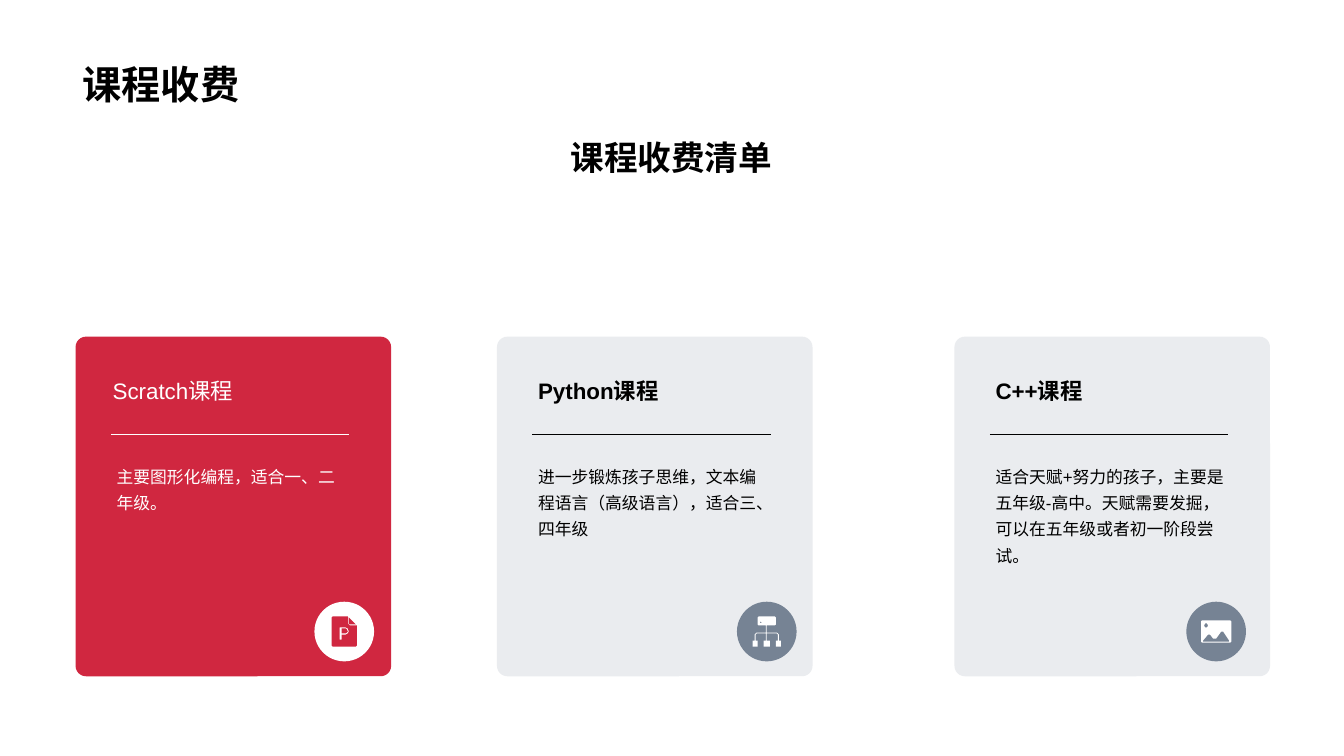
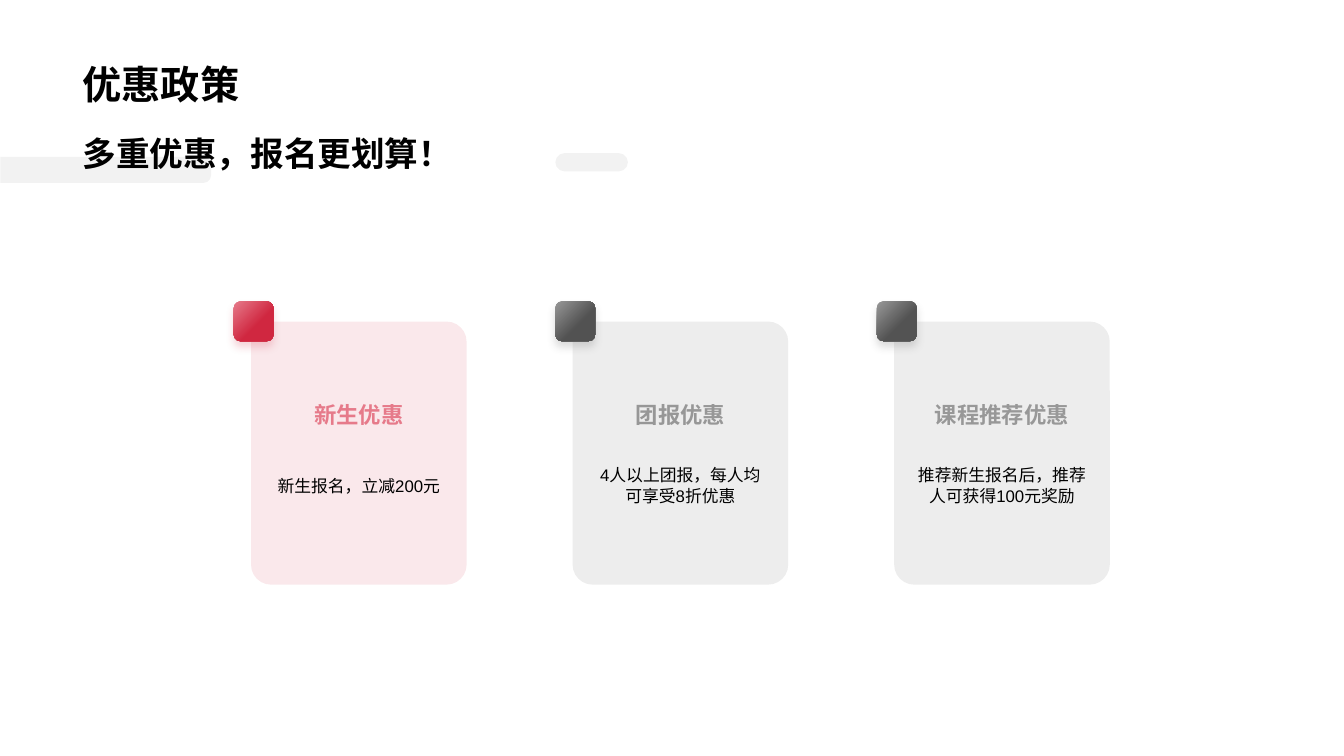
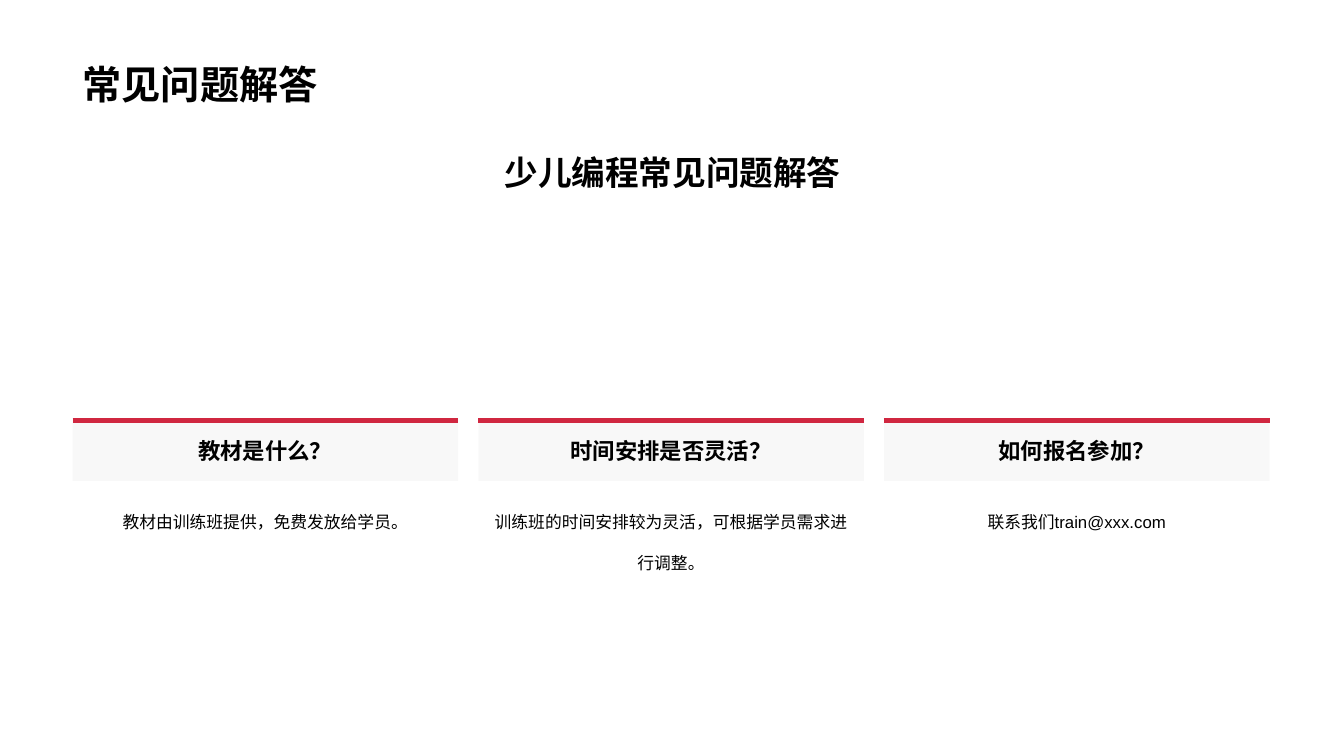
from lxml.etree import SubElement
from pptx import Presentation
from pptx.dml.color import RGBColor
from pptx.enum.lang import MSO_LANGUAGE_ID
from pptx.enum.shapes import MSO_CONNECTOR, MSO_SHAPE
from pptx.enum.text import MSO_ANCHOR, PP_ALIGN
from pptx.oxml.ns import qn
from pptx.util import Pt

# Shared style
FONT = "Arial"
RED, SLATE, GRAY = "D02740", "768394", "808080"
BLACK, WHITE = "000000", "FFFFFF"
LEFT, CONTENT_WIDTH = 51.84, 855.4
DEFAULT_INSETS = (7.2, 3.6)

# Icon outlines and their cut-outs, in hundredths of an inch
ICON_UNIT = Pt(0.72)
DOCUMENT_ICON = (25, 30, [
    [(1, 0), (16, 0), (16, 7), (18, 9), (25, 9), (25, 29), (24, 30),
     (1, 30), (0, 29), (0, 1)],
    [(8, 11), (14, 11), (16, 12), (17, 15), (16, 17), (14, 18), (10, 18),
     (10, 23), (8, 23)],
    [(10, 12), (14, 12), (15, 13), (16, 15), (15, 16), (14, 17), (10, 17)],
    [(17, 1), (24, 8), (18, 8), (17, 7)],
])
TREE_ICON = (28, 30, [
    [(6, 0), (22, 0), (23, 1), (23, 8), (22, 9), (14, 9), (14, 16),
     (24, 16), (26, 18), (26, 24), (28, 24), (28, 30), (23, 30), (23, 24),
     (25, 24), (25, 18), (24, 17), (14, 17), (14, 24), (17, 24), (17, 30),
     (11, 30), (11, 24), (13, 24), (13, 17), (4, 17), (3, 18), (3, 24),
     (5, 24), (5, 30), (0, 30), (0, 24), (2, 24), (2, 18), (4, 16),
     (13, 16), (13, 9), (6, 9), (5, 8), (5, 1)],
    [(7, 6), (8, 5), (9, 6), (8, 7)],
])
PHOTO_ICON = (30, 22, [
    [(1, 0), (29, 0), (30, 1), (30, 21), (29, 22), (1, 22), (0, 21), (0, 1)],
    [(22, 11), (20, 11), (15, 18), (12, 18), (9, 14), (7, 14), (2, 20),
     (2, 21), (28, 21), (28, 20)],
    [(3, 5), (4, 3), (6, 3), (7, 5), (6, 7), (4, 7)],
])


def color(hex_code):
    return RGBColor.from_string(hex_code)


def points(*lengths):
    return [Pt(length) for length in lengths]


def write(shape, text, size, hex_code=BLACK, bold=False, align=PP_ALIGN.LEFT,
          anchor=MSO_ANCHOR.TOP, insets=DEFAULT_INSETS, spacing=1.0):
    frame = shape.text_frame
    frame.text = text
    frame.word_wrap = True
    frame.vertical_anchor = anchor
    frame.margin_left = frame.margin_right = Pt(insets[0])
    frame.margin_top = frame.margin_bottom = Pt(insets[1])
    paragraph = frame.paragraphs[0]
    paragraph.alignment = align
    paragraph.line_spacing = spacing
    for run in paragraph.runs:
        run.font.name, run.font.size, run.font.bold = FONT, Pt(size), bold
        run.font.color.rgb = color(hex_code)
        run.font.language_id = MSO_LANGUAGE_ID.SIMPLIFIED_CHINESE
        # East Asian typeface
        SubElement(run.font._element, qn("a:ea"), typeface=FONT)


def add_text(slide, box, text, size, **style):
    write(slide.shapes.add_textbox(*points(*box)), text, size, **style)


def add_block(slide, kind, box, hex_code, opacity=100, adjustments=()):
    block = slide.shapes.add_shape(kind, *points(*box))
    for index, value in enumerate(adjustments):
        block.adjustments[index] = value
    paint(block, hex_code, opacity)
    return block


def paint(shape, hex_code, opacity=100):
    shape.shadow.inherit = False
    shape.line.fill.background()
    shape.fill.solid()
    shape.fill.fore_color.rgb = color(hex_code)
    if opacity < 100:
        tone = shape._element.spPr.find(qn("a:solidFill"))[0]
        SubElement(tone, qn("a:alpha"), val=str(opacity * 1000))


def add_rule(slide, left, top, width, hex_code, weight):
    rule = slide.shapes.add_connector(
        MSO_CONNECTOR.STRAIGHT, *points(left, top, left + width, top))
    rule.line.color.rgb = color(hex_code)
    rule.line.width = Pt(weight)
    SubElement(rule._element.spPr, qn("a:effectLst"))


def add_icon(slide, icon, center_x, center_y, hex_code):
    width, height, contours = icon
    outline = slide.shapes.build_freeform(*contours[0][0], scale=ICON_UNIT)
    outline.add_line_segments(contours[0][1:])
    for start, *rest in contours[1:]:
        outline.move_to(*start)
        outline.add_line_segments(rest)
    symbol = outline.convert_to_shape(
        Pt(center_x) - width * ICON_UNIT // 2,
        Pt(center_y) - height * ICON_UNIT // 2)
    paint(symbol, hex_code)


def add_tile(slide, box, light, dark):
    """Small rounded tile with a diagonal gradient and a soft shadow."""
    tile = add_block(slide, MSO_SHAPE.ROUNDED_RECTANGLE, box, dark)
    tile.fill.gradient()
    tile.fill.gradient_angle = 315
    stops = tile.fill.gradient_stops
    for stop, hex_code, position in zip(stops, (light, dark), (0, 0.6)):
        stop.color.rgb = color(hex_code)
        stop.position = position
    effects = tile._element.spPr.find(qn("a:effectLst"))
    shadow = SubElement(effects, qn("a:outerShdw"), blurRad=str(Pt(6)),
                        dist=str(Pt(4)), dir="5400000", algn="t", rotWithShape="0")
    tone = SubElement(shadow, qn("a:srgbClr"), val=dark)
    SubElement(tone, qn("a:alpha"), val="20000")


def add_titled_slide(deck, title):
    slide = deck.slides.add_slide(deck.slide_layouts[5])
    holder = slide.shapes.title
    holder.left, holder.top, holder.width, holder.height = points(
        LEFT, 10, CONTENT_WIDTH, 70.5)
    write(holder, title, 28, bold=True, anchor=MSO_ANCHOR.BOTTOM)
    return slide


# Slide 1: courses
def add_course_card(slide, left, course, summary, icon, badge_offset,
                    header_width, featured=False):
    ink = WHITE if featured else BLACK
    badge_color, icon_color = (WHITE, RED) if featured else (SLATE, WHITE)
    add_block(slide, MSO_SHAPE.ROUNDED_RECTANGLE, (left, 240.5, 225.4, 242.6),
              RED if featured else SLATE, 100 if featured else 15, [0.033])
    insets = (8.64, 8.64)
    add_text(slide, (left + (17.3 if featured else 20.7), 260.6, header_width, 36.7),
             course, 16, hex_code=ink, bold=not featured, insets=insets,
             align=PP_ALIGN.CENTER if featured else PP_ALIGN.LEFT,
             anchor=MSO_ANCHOR.BOTTOM)
    add_rule(slide, left + 25.2, 310.3, 170.2, ink, 0.5)
    add_text(slide, (left + 20.7, 320.4, 184.3, 90), summary, 12,
             hex_code=ink, insets=insets, spacing=1.3)
    badge_left, badge_top, badge_size = left + badge_offset, 429.8, 42.6
    add_block(slide, MSO_SHAPE.OVAL,
              (badge_left, badge_top, badge_size, badge_size), badge_color)
    add_icon(slide, icon, badge_left + badge_size / 2,
             badge_top + badge_size / 2, icon_color)


def build_courses(deck):
    slide = add_titled_slide(deck, "课程收费")
    add_text(slide, (LEFT, 89.3, CONTENT_WIDTH, 41), "课程收费清单", 24,
             bold=True, align=PP_ALIGN.CENTER, anchor=MSO_ANCHOR.BOTTOM)
    add_course_card(slide, 54, "Scratch课程", "主要图形化编程，适合一、二年级。",
                    DOCUMENT_ICON, 170.6, 104.4, featured=True)
    add_course_card(slide, 355, "Python课程",
                    "进一步锻炼孩子思维，文本编程语言（高级语言），适合三、四年级",
                    TREE_ICON, 171.4, 104.4)
    add_course_card(slide, 681.8, "C++课程",
                    "适合天赋+努力的孩子，主要是五年级-高中。天赋需要发掘，"
                    "可以在五年级或者初一阶段尝试。",
                    PHOTO_ICON, 165.6, 80)


# Slide 2: discounts
def add_discount_card(slide, left, name, terms, light, dark):
    add_block(slide, MSO_SHAPE.ROUNDED_RECTANGLE, (left, 229.7, 154, 187.9),
              dark, 10, [0.093])
    add_tile(slide, (left - 12.3, 215.3, 28.4, 28.4), light, dark)
    add_text(slide, (left + 9.3, 280, 135.4, 31.7), name, 16, hex_code=light,
             bold=True, align=PP_ALIGN.CENTER, anchor=MSO_ANCHOR.MIDDLE)
    add_text(slide, (left + 9.3, 315.4, 135.4, 62.6), terms, 12,
             align=PP_ALIGN.CENTER, anchor=MSO_ANCHOR.MIDDLE, insets=(7.2, 7.2))


def build_discounts(deck):
    slide = add_titled_slide(deck, "优惠政策")
    discounts = [
        ("新生优惠", "新生报名，立减200元", "E67A8A", RED),
        ("团报优惠", "4人以上团报，每人均可享受8折优惠", "979797", "525252"),
        ("课程推荐优惠", "推荐新生报名后，推荐人可获得100元奖励", "989898", "535353"),
    ]
    for column, discount in enumerate(discounts):
        add_discount_card(slide, 179.3 + column * 229.7, *discount)
    # Pale bars behind the slogan
    edge_bar = add_block(slide, MSO_SHAPE.ROUND_2_SAME_RECTANGLE,
                         (66.2, 46.1, 18.7, 150.5), GRAY, 10, [0.303, 0])
    edge_bar.rotation = 90
    add_block(slide, MSO_SHAPE.ROUNDED_RECTANGLE, (396.7, 109.4, 51.8, 13),
              GRAY, 10, [0.5])
    add_text(slide, (LEFT, 69.1, 401, 58.3), "多重优惠，报名更划算！", 24,
             bold=True, anchor=MSO_ANCHOR.BOTTOM)


# Slide 3: questions
def add_question(slide, left, question, answer):
    width, top = 275.4, 300.3
    heading = add_block(slide, MSO_SHAPE.RECTANGLE, (left, top, width, 43.2), GRAY, 5)
    write(heading, question, 16, bold=True, align=PP_ALIGN.CENTER,
          anchor=MSO_ANCHOR.MIDDLE)
    add_rule(slide, left, top, width, RED, 4)
    add_text(slide, (left, 347.8, width, 90), answer, 12,
             align=PP_ALIGN.CENTER, spacing=2.0)


def build_questions(deck):
    slide = add_titled_slide(deck, "常见问题解答")
    add_text(slide, (63.4, 105.1, 833.8, 36), "少儿编程常见问题解答", 24,
             bold=True, align=PP_ALIGN.CENTER)
    questions = [
        ("教材是什么？", "教材由训练班提供，免费发放给学员。"),
        ("时间安排是否灵活？", "训练班的时间安排较为灵活，可根据学员需求进行调整。"),
        ("如何报名参加？", "联系我们train@xxx.com"),
    ]
    for column, (question, answer) in enumerate(questions):
        add_question(slide, LEFT + column * 289.8, question, answer)


def main():
    deck = Presentation()
    deck.slide_width, deck.slide_height = points(960, 540)
    build_courses(deck)
    build_discounts(deck)
    build_questions(deck)
    deck.save("out.pptx")


if __name__ == "__main__":
    main()
